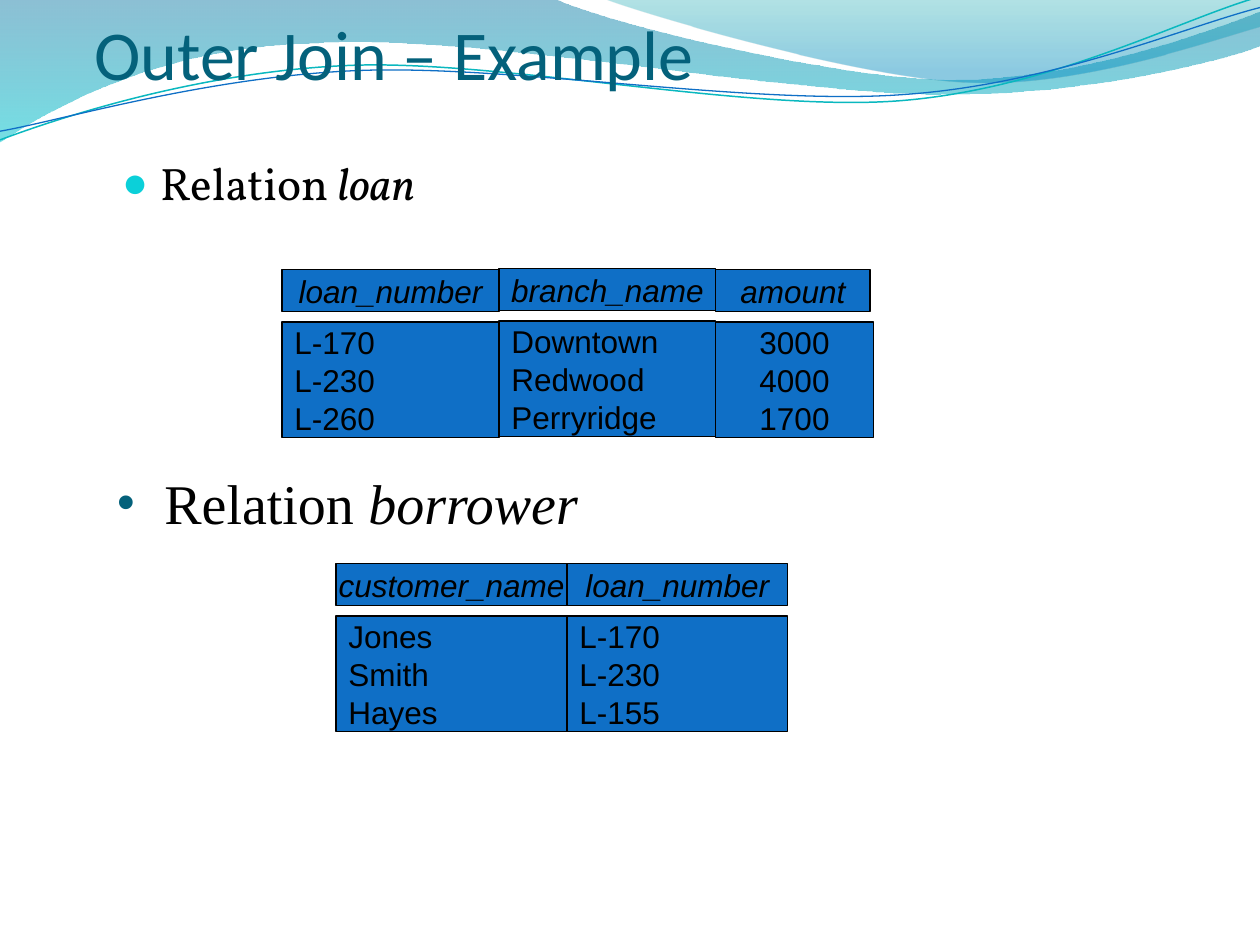
"""Build the "Outer Join – Example" slide with its wave header and two relations."""
from lxml import etree
from pptx import Presentation
from pptx.dml.color import RGBColor
from pptx.enum.shapes import MSO_SHAPE
from pptx.enum.text import MSO_ANCHOR, PP_ALIGN
from pptx.oxml.ns import qn
from pptx.util import Pt

RECTANGLE = MSO_SHAPE.RECTANGLE
MIDDLE, BOTTOM = MSO_ANCHOR.MIDDLE, MSO_ANCHOR.BOTTOM
LEFT, CENTER = PP_ALIGN.LEFT, PP_ALIGN.CENTER

COLORS = {
    "title": "04617B", "text": "000000", "cell": "0F6FC6", "dot": "0BD0D9",
    "teal": "0AB8BF", "band top": "0074A1", "band bottom": "00C6CF",
    "crest top": "00A1A9", "crest bottom": "008BBF",
}

# Each wave segment holds one point for a line or three for a Bezier curve.
BAND = [
    [(0, 0)], [(316.8, -0.7)],
    [(342.7, 12.2), (478.1, 45.4), (545.8, 45.4)],
    [(614.2, 45.4), (689.8, 18.7), (720, 6.5)],
    [(720.7, 25.9)],
    [(707.8, 31.7), (626.4, 54.7), (537.1, 54)],
    [(447.8, 54), (275, 20.2), (185, 24.5)],
    [(92.9, 25.9), (33.1, 59.8), (-0.7, 81.4)],
]
CREST = [
    [(344.9, -0.7)],
    [(366.5, 7.9), (491, 44.6), (553.7, 46.8)],
    [(616.3, 49.7), (691.9, 23), (720, 15.1)],
    [(720, 0)],
]
TEAL_LINE = [
    [(-1.4, 63)],
    [(33.8, 51.7), (114.1, 29.4), (199.8, 29.9)],
    [(284.9, 30.3), (425.8, 67.3), (512.4, 64.9)],
    [(599, 62.4), (676.5, 25.7), (720.2, 15.5)],
]
BLUE_LINE = [
    [(-1.1, 58)],
    [(32.9, 53.8), (118.3, 32.5), (204.1, 33)],
    [(290.6, 33.4), (428.9, 63.8), (515.5, 61.4)],
    [(601.3, 59.6), (678.5, 30.1), (721.4, 21.3)],
]
FILLED_WAVES = [
    (BAND, [(0, "band top", 45), (1, "band bottom", 55)]),
    (CREST, [(0, "crest top", 30), (0.8, "crest bottom", 45)]),
]
LINE_WAVES = [(TEAL_LINE, "teal", 0.85), (BLUE_LINE, "cell", 0.75)]
LINE_ROTATION = 357.3

TITLE = "Outer Join – Example"
HEADINGS = [
    {"words": ("Relation ", "loan"), "box": (62.8, 85, 540, 38), "font": "Vollkorn",
     "size": 26, "indent": 21.6, "bullet": ("●", "dot", 95)},
    {"words": ("Relation ", "borrower"), "box": (59.8, 264.2, 553.7, 38),
     "font": "Times New Roman", "size": 32, "indent": 27, "bullet": ("•", "title", 90)},
]
RELATIONS = [
    {"left": 192, "top": 322, "columns": [
        {"name": "customer_name", "rows": ["Jones", "Smith", "Hayes"], "widths": (132, 132)},
        {"name": "loan_number", "rows": ["L-170", "L-230", "L-155"], "widths": (126, 126)},
    ]},
    {"left": 161.2, "top": 154, "columns": [
        {"name": "loan_number", "rows": ["L-170", "L-230", "L-260"], "widths": (124, 124)},
        {"name": "branch_name", "rows": ["Downtown", "Redwood", "Perryridge"],
         "widths": (123.8, 123.8), "lift": 0.5},
        {"name": "amount", "rows": ["3000", "4000", "1700"], "widths": (88.2, 90),
         "align": CENTER},
    ]},
]
HEADER_HEIGHT, BODY_HEIGHT, BODY_OFFSET = 24, 66, 30


def color(name):
    return RGBColor.from_string(COLORS[name])


def format_run(run, font, size, color_name, italic=False):
    run.font.name, run.font.size, run.font.italic = font, Pt(size), italic
    run.font.color.rgb = color(color_name)


def add_wave(container, segments, close):
    points = [(Pt(x), Pt(y)) for segment in segments for x, y in segment]
    builder = container.shapes.build_freeform(*points[0], scale=1.0)
    builder.add_line_segments(points[1:], close=close)
    shape = builder.convert_to_shape()
    shape.shadow.inherit = False
    lines = iter(list(shape._element.spPr.iter(qn("a:lnTo"))))
    for segment in segments[1:]:
        first, *others = [next(lines) for _ in segment]
        if others:
            curve = etree.Element(qn("a:cubicBezTo"))
            first.addprevious(curve)
            for line in (first, *others):
                curve.append(line[0])
                line.getparent().remove(line)
    return shape


def add_filled_wave(slide, segments, stops):
    shape = add_wave(slide, segments, True)
    shape.line.fill.background()
    shape.fill.gradient()
    shape.fill.gradient_angle = 270
    for stop, (position, name, _) in zip(shape.fill.gradient_stops, stops):
        stop.position, stop.color.rgb = position, color(name)
    for element, (_, _, opacity) in zip(shape._element.spPr.iter(qn("a:srgbClr")), stops):
        etree.SubElement(element, qn("a:alpha"), val=str(opacity * 1000))


def add_line_wave(group, segments, name, width):
    shape = add_wave(group, segments, False)
    shape.rotation = LINE_ROTATION
    shape.fill.background()
    shape.line.color.rgb, shape.line.width = color(name), Pt(width)


def add_text_box(slide, box):
    text_frame = slide.shapes.add_textbox(*map(Pt, box)).text_frame
    text_frame.word_wrap = True
    return text_frame


def add_title(slide):
    text_frame = add_text_box(slide, (54, 0, 612, 54))
    text_frame.vertical_anchor = BOTTOM
    text_frame.margin_left = text_frame.margin_right = text_frame.margin_bottom = 0
    text_frame.text = TITLE
    format_run(text_frame.paragraphs[0].runs[0], "Calibri", 40, "title")


def add_heading(slide, heading):
    paragraph = add_text_box(slide, heading["box"]).paragraphs[0]
    character, bullet_color, percent = heading["bullet"]
    properties = paragraph._p.get_or_add_pPr()
    properties.set("marL", str(Pt(heading["indent"])))
    properties.set("indent", str(-Pt(heading["indent"])))
    bullet = etree.SubElement(properties, qn("a:buClr"))
    etree.SubElement(bullet, qn("a:srgbClr"), val=COLORS[bullet_color])
    etree.SubElement(properties, qn("a:buSzPct"), val=str(percent * 1000))
    etree.SubElement(properties, qn("a:buFont"), typeface="Arial")
    etree.SubElement(properties, qn("a:buChar"), char=character)
    for words, italic in zip(heading["words"], (False, True)):
        run = paragraph.add_run()
        run.text = words
        format_run(run, heading["font"], heading["size"], "text", italic)


def add_cell(group, box, lines, align, italic):
    shape = group.shapes.add_shape(RECTANGLE, *map(Pt, box))
    shape.shadow.inherit = False
    shape.fill.solid()
    shape.fill.fore_color.rgb = color("cell")
    shape.line.color.rgb, shape.line.width = color("text"), Pt(0.75)
    text_frame = shape.text_frame
    text_frame.word_wrap, text_frame.vertical_anchor = False, MIDDLE
    text_frame.text = "\n".join(lines)
    for paragraph in text_frame.paragraphs:
        paragraph.alignment = align
        format_run(paragraph.runs[0], "Arial", 18, "text", italic)


def add_relation(slide, relation):
    group = slide.shapes.add_group_shape()
    left = relation["left"]
    for column in relation["columns"]:
        top = relation["top"] - column.get("lift", 0)
        header_width, body_width = column["widths"]
        add_cell(group, (left, top, header_width, HEADER_HEIGHT),
                 [column["name"]], CENTER, True)
        add_cell(group, (left, top + BODY_OFFSET, body_width, BODY_HEIGHT),
                 column["rows"], column.get("align", LEFT), False)
        left += body_width


def main():
    presentation = Presentation()
    presentation.slide_width, presentation.slide_height = Pt(720), Pt(540)
    slide = presentation.slides.add_slide(presentation.slide_layouts[6])
    for segments, stops in FILLED_WAVES:
        add_filled_wave(slide, segments, stops)
    line_group = slide.shapes.add_group_shape()
    for segments, name, width in LINE_WAVES:
        add_line_wave(line_group, segments, name, width)
    add_title(slide)
    for heading in HEADINGS:
        add_heading(slide, heading)
    for relation in RELATIONS:
        add_relation(slide, relation)
    presentation.save("out.pptx")


if __name__ == "__main__":
    main()
